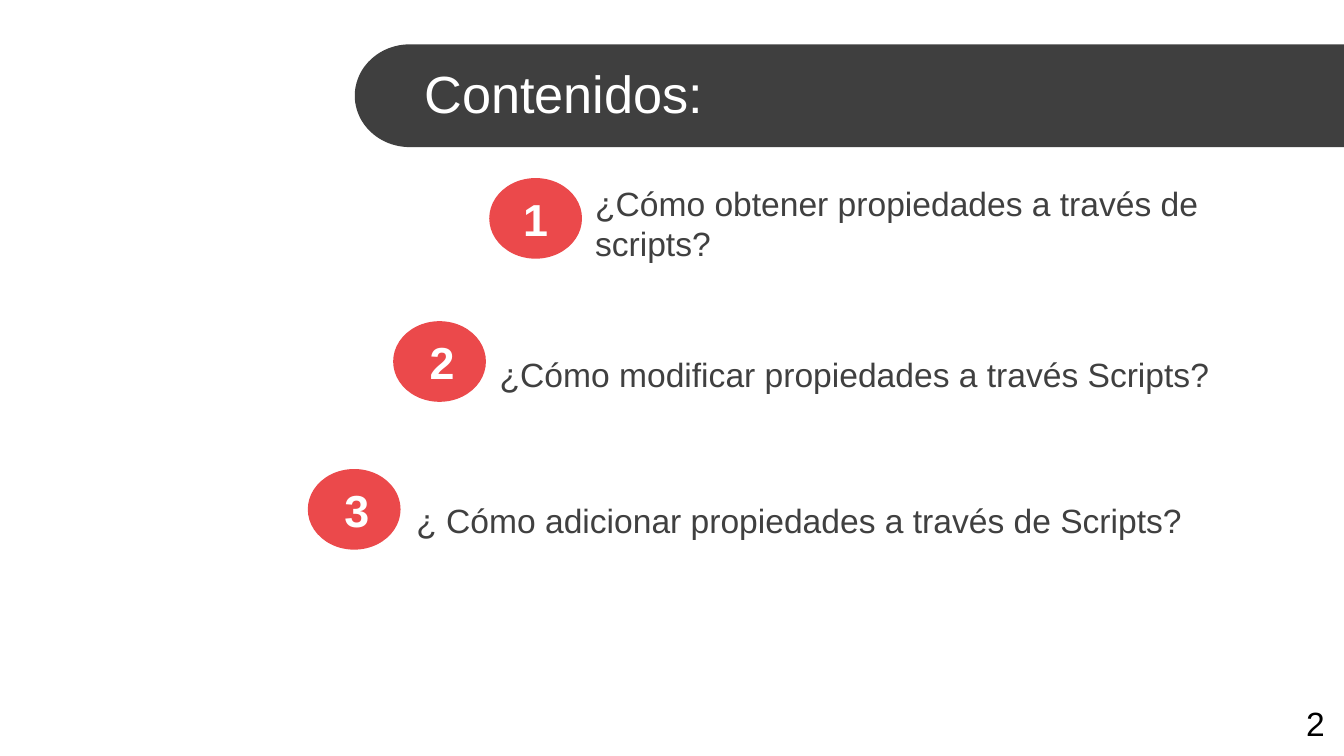
import math
from dataclasses import dataclass

import pptx
import pptx.dml.color
import pptx.enum.shapes
import pptx.enum.text
import pptx.util

RGBColor = pptx.dml.color.RGBColor
Align = pptx.enum.text.PP_ALIGN
Anchor = pptx.enum.text.MSO_ANCHOR

CHARCOAL = RGBColor(0x3F, 0x3F, 0x3F)
TEXT_GREY = RGBColor(0x40, 0x40, 0x40)
RED = RGBColor(0xEB, 0x49, 0x4B)
WHITE = RGBColor(0xFF, 0xFF, 0xFF)
BLACK = RGBColor(0x00, 0x00, 0x00)

# Square grid on a 16:9 slide: 100 columns across, 56.25 rows down.
COLUMNS, ROWS = 100, 56.25
CELL = pptx.util.Inches(0.1)
BADGE_WIDTH, BADGE_HEIGHT = 6.9, 6
NUMBER_HEIGHT = 5


def emu(cells: float) -> int:
    return round(cells * CELL)


@dataclass(frozen=True)
class Box:
    """Position and size in grid columns and rows."""
    left: float
    top: float
    width: float
    height: float

    def emu(self) -> tuple[int, ...]:
        return tuple(map(emu, (self.left, self.top, self.width, self.height)))


@dataclass(frozen=True)
class Topic:
    question: str
    question_box: Box
    badge_left: float
    badge_top: float
    number_shift: float = 0.2


TOPICS = [
    Topic("¿Cómo obtener propiedades a través de scripts?",
          Box(43.3, 13.05, 50.4, 7.1), 36.4, 13.25, number_shift=0),
    Topic("¿Cómo modificar propiedades a través Scripts?",
          Box(36.2, 25.85, 66.6, 4), 29.25, 23.9),
    Topic("¿ Cómo adicionar propiedades a través de Scripts?",
          Box(30, 36.7, 72.2, 4), 22.9, 34.9),
]


def paint(shape, color: RGBColor) -> None:
    shape.shadow.inherit = False
    shape.fill.solid()
    shape.fill.fore_color.rgb = color
    shape.line.fill.background()


def add_text(slide, text: str, box: Box, *, size: float, color: RGBColor,
             bold: bool = False, align=Align.LEFT, anchor=Anchor.MIDDLE,
             wrap: bool = True) -> None:
    frame = slide.shapes.add_textbox(*box.emu()).text_frame
    frame.word_wrap = wrap
    frame.vertical_anchor = anchor
    paragraph = frame.paragraphs[0]
    paragraph.alignment = align
    run = paragraph.add_run()
    run.text = text
    run.font.name = "Arial"
    run.font.size = pptx.util.Pt(size)
    run.font.bold = bold
    run.font.color.rgb = color


def add_banner(slide, box: Box, cap: float, steps: int = 48) -> None:
    """Draw a bar whose left end is half an ellipse, cap columns deep."""
    right, bottom = box.left + box.width, box.top + box.height
    center_x, radius_y = box.left + cap, box.height / 2
    angles = [math.pi * (0.5 + step / steps) for step in range(steps + 1)]
    arc = [(center_x + cap * math.cos(angle),
            box.top + radius_y + radius_y * math.sin(angle))
           for angle in angles]
    corners = [(emu(x), emu(y)) for x, y in [(right, bottom), *arc]]
    outline = slide.shapes.build_freeform(emu(right), emu(box.top))
    outline.add_line_segments(corners, close=True)
    paint(outline.convert_to_shape(), CHARCOAL)


def add_topic(slide, number: int, topic: Topic) -> None:
    badge = Box(topic.badge_left, topic.badge_top, BADGE_WIDTH, BADGE_HEIGHT)
    ellipse = slide.shapes.add_shape(
        pptx.enum.shapes.MSO_SHAPE.OVAL, *badge.emu())
    paint(ellipse, RED)
    number_box = Box(badge.left + topic.number_shift,
                     badge.top + (BADGE_HEIGHT - NUMBER_HEIGHT) / 2,
                     BADGE_WIDTH, NUMBER_HEIGHT)
    add_text(slide, str(number), number_box, size=24, color=WHITE,
             bold=True, align=Align.CENTER)
    add_text(slide, topic.question, topic.question_box,
             size=18, color=TEXT_GREY)


def main() -> None:
    deck = pptx.Presentation()
    deck.slide_width = emu(COLUMNS)
    deck.slide_height = emu(ROWS)
    slide = deck.slides.add_slide(deck.slide_layouts[6])

    add_banner(slide, Box(26.4, 3.3, 73.6, 7.65), cap=4.1)
    add_text(slide, "Contenidos:", Box(30.6, 3.75, 69.4, 6.3),
             size=28, color=WHITE)
    for number, topic in enumerate(TOPICS, start=1):
        add_topic(slide, number, topic)
    add_text(slide, "2", Box(96.2, 51.8, 3.4, 4), size=18, color=BLACK,
             anchor=Anchor.TOP, wrap=False)

    deck.save("out.pptx")


if __name__ == "__main__":
    main()
